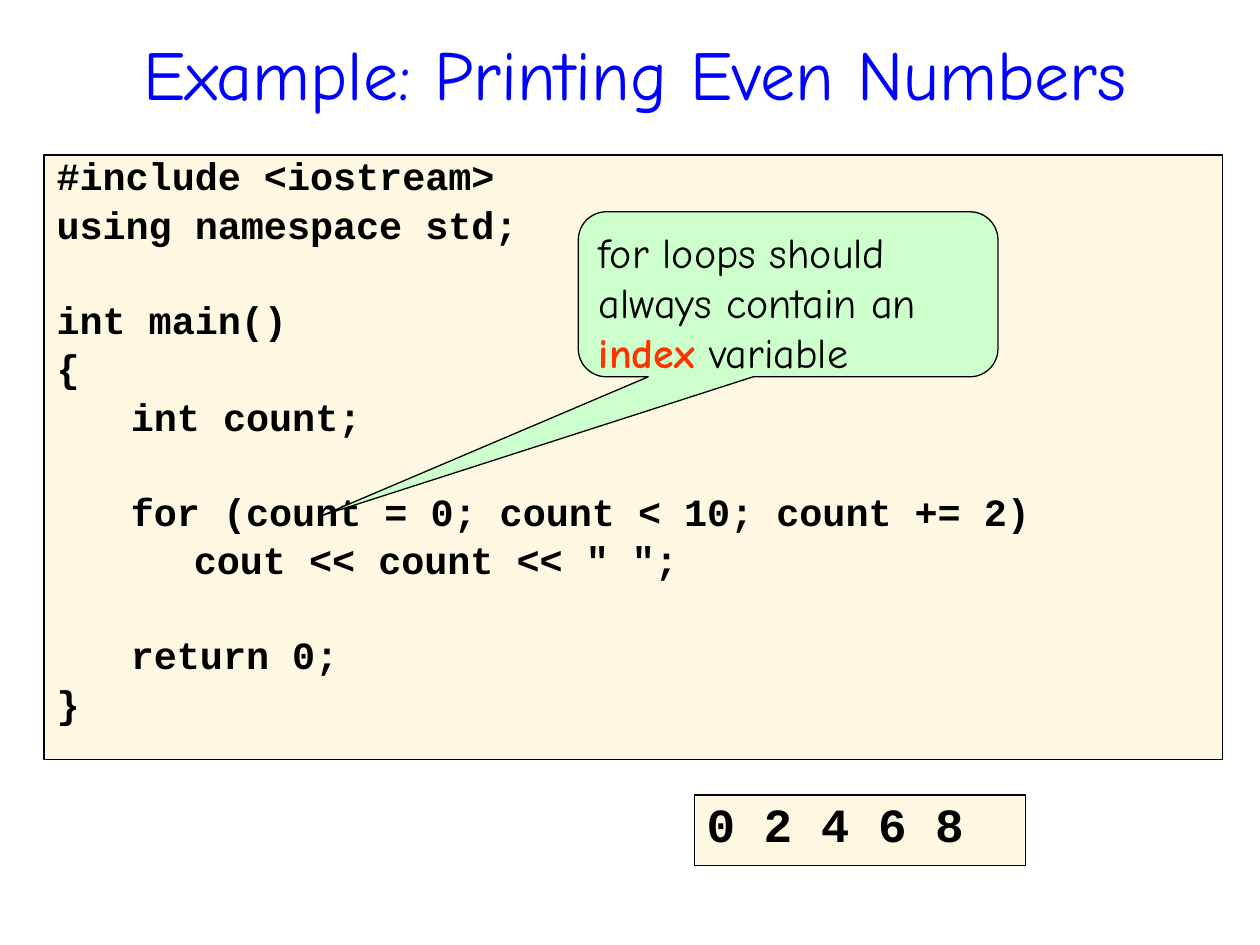
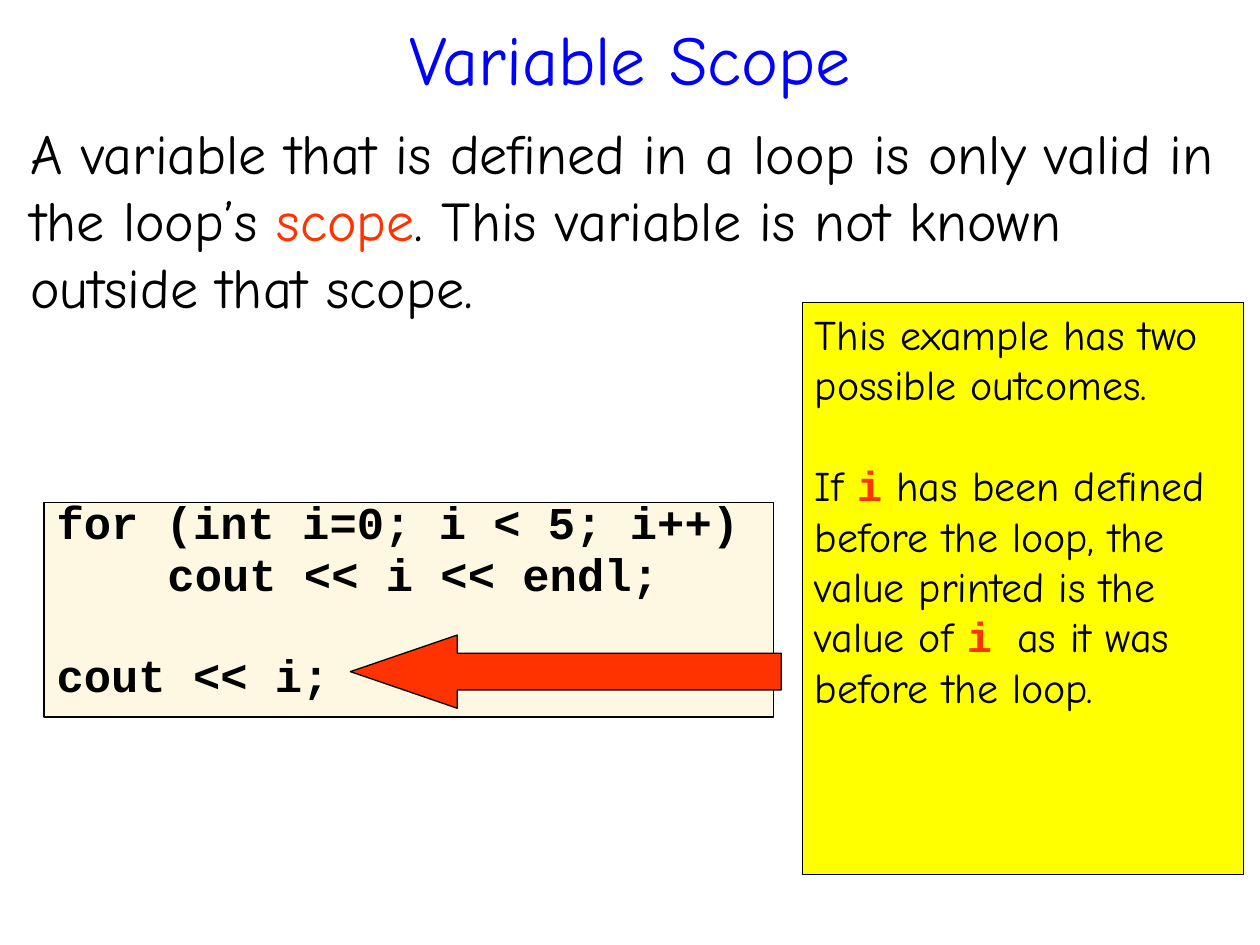
import lxml.etree
import pptx
import pptx.dml.color
import pptx.enum.shapes
import pptx.enum.text
import pptx.oxml.ns
import pptx.util

Pt = pptx.util.Pt
RGB = pptx.dml.color.RGBColor
SHAPES = pptx.enum.shapes.MSO_SHAPE
ALIGN = pptx.enum.text.PP_ALIGN
ANCHOR = pptx.enum.text.MSO_ANCHOR
qn = pptx.oxml.ns.qn

BLUE = RGB(0x00, 0x00, 0xFF)
BLACK = RGB(0x00, 0x00, 0x00)
RED = RGB(0xFF, 0x33, 0x00)
CREAM = RGB(0xFE, 0xF8, 0xE2)
MINT = RGB(0xCC, 0xFF, 0xCC)
YELLOW = RGB(0xFF, 0xFF, 0x00)

PROSE = "Comic Neue"
CODE = "Courier New"
MONO_LINE = 1.133
TAB_STEP = 72
TITLE_ONLY, TITLE_AND_BODY = 5, 1

TITLE = dict(name=PROSE, size=Pt(40), bold=False, color=BLUE)
BODY = dict(name=PROSE, size=Pt(32), bold=False, color=BLACK)
REMARK = dict(name=PROSE, size=Pt(24), bold=False, color=BLACK)
CODE_WORD = dict(name=CODE, bold=True, color=RED)


def set_attributes(target, values):
    for name, value in values.items():
        setattr(target, name, value)


def place(shape, box):
    names = ("left", "top", "width", "height")
    set_attributes(shape, {name: Pt(length) for name, length in zip(names, box)})


def add_runs(paragraph, pieces, base):
    for text, changes in pieces:
        run = paragraph.add_run()
        run.text = text
        look = {**base, **changes}
        run.font.color.rgb = look.pop("color")
        set_attributes(run.font, look)


def write(frame, paragraphs, base, anchor=ANCHOR.TOP, **spacing):
    set_attributes(frame, dict(
        word_wrap=True, auto_size=pptx.enum.text.MSO_AUTO_SIZE.NONE, vertical_anchor=anchor))
    layout = dict(alignment=ALIGN.LEFT, line_spacing=1.0, space_before=Pt(0), space_after=Pt(0))
    for index, pieces in enumerate(paragraphs):
        paragraph = frame.add_paragraph() if index else frame.paragraphs[0]
        set_attributes(paragraph, {**layout, **spacing})
        add_runs(paragraph, pieces, base)


def add_panel(slide, kind, box, fill, adjustments=()):
    panel = slide.shapes.add_shape(kind, *(Pt(length) for length in box))
    panel.shadow.inherit = False
    panel.fill.solid()
    panel.fill.fore_color.rgb = fill
    panel.line.color.rgb = BLACK
    panel.line.width = Pt(0.75)
    for index, value in enumerate(adjustments):
        panel.adjustments[index] = value
    return panel


def set_indent(paragraph, hanging):
    properties = paragraph._p.get_or_add_pPr()
    properties.set("marL", str(Pt(hanging)))
    properties.set("indent", str(-Pt(hanging)))
    tabs = lxml.etree.SubElement(properties, qn("a:tabLst"))
    for step in range(8):
        lxml.etree.SubElement(tabs, qn("a:tab"), pos=str(Pt(step * TAB_STEP)), algn="l")


def add_code(slide, box, blocks, size, spacing, hanging=0):
    panel = add_panel(slide, SHAPES.RECTANGLE, box, CREAM)
    before = size * 0.25 * 1.2
    pitch = size * MONO_LINE * spacing + before
    look = dict(name=CODE, size=Pt(size), bold=True, color=BLACK)
    lines = [[(line, {})] for block in blocks for line in block]
    write(panel.text_frame, lines, look, line_spacing=spacing, space_before=Pt(before))
    for paragraph in panel.text_frame.paragraphs:
        set_indent(paragraph, hanging)
    start = 0
    for block in blocks[:-1]:
        start += len(block)
        panel.text_frame.paragraphs[start].space_before = Pt(before + pitch)


def add_title(slide, text, box):
    place(slide.shapes.title, box)
    write(slide.shapes.title.text_frame, [[(text, {})]], TITLE,
          anchor=ANCHOR.MIDDLE, alignment=ALIGN.CENTER)


def add_body(slide, pieces, box):
    body = slide.placeholders[1]
    place(body, box)
    write(body.text_frame, [pieces], BODY, space_before=Pt(9.6))
    properties = body.text_frame.paragraphs[0]._p.get_or_add_pPr()
    properties.set("marL", "0")
    properties.set("indent", "0")
    lxml.etree.SubElement(properties, qn("a:buNone"))


def add_index_callout(slide, box):
    callout = add_panel(slide, SHAPES.ROUNDED_RECTANGULAR_CALLOUT, box, MINT,
                        (-1.11, 1.34, 0.17))
    write(callout.text_frame, [
        [("for loops should always contain an", {})],
        [("index", dict(color=RED, bold=True)), (" variable", {})],
    ], REMARK)


def add_outcome_note(slide, box):
    note = add_panel(slide, SHAPES.RECTANGLE, box, YELLOW)
    write(note.text_frame, [
        [("This example has two possible outcomes.", {})],
        [("If ", {}), ("i", CODE_WORD),
         (" has been defined before the loop, the value printed is the value of ", {}),
         ("i ", CODE_WORD), ("as it was before the loop.", {})],
    ], REMARK)
    note.text_frame.paragraphs[1].space_before = Pt(28.8)


def build_even_numbers(deck):
    slide = deck.slides.add_slide(deck.slide_layouts[TITLE_ONLY])
    add_title(slide, "Example: Printing Even Numbers", (31.7, 18, 662.4, 46.8))
    program = [
        ["#include <iostream>", "using namespace std;"],
        ["int main()", "{", "\tint count;"],
        ["\tfor (count = 0; count < 10; count += 2)", '\t\tcout << count << " ";'],
        ["\treturn 0;", "}"],
    ]
    add_code(slide, (25.2, 88.6, 673.2, 345.6), program, 22, 0.8, 42.5)
    add_code(slide, (396.7, 454.3, 189.4, 40.3), [["0 2 4 6 8"]], 27.2, 0.9)
    add_index_callout(slide, (330.5, 121, 239.8, 94.3))


def build_variable_scope(deck):
    slide = deck.slides.add_slide(deck.slide_layouts[TITLE_AND_BODY])
    add_title(slide, "Variable Scope", (36, 11.5, 648, 42.5))
    add_body(slide, [
        ("A variable that is defined in a loop is only valid in the loop’s ", {}),
        ("scope", dict(color=RED)),
        (". This variable is not known outside that scope.", {}),
    ], (10.1, 64.1, 701.3, 126.7))
    loop = [["for (int i=0; i < 5; i++)", "\t\tcout << i << endl;"], ["cout << i;"]]
    add_code(slide, (25.2, 287.3, 416.9, 122.4), loop, 26, 0.7, 27.4)
    add_outcome_note(slide, (458.6, 172.8, 252, 326.9))
    add_panel(slide, SHAPES.LEFT_ARROW, (200.2, 362.9, 246.2, 41.8), RED, (0.5, 1.46))


def main():
    deck = pptx.Presentation()
    deck.slide_width, deck.slide_height = Pt(720), Pt(540)
    build_even_numbers(deck)
    build_variable_scope(deck)
    deck.save("out.pptx")


if __name__ == "__main__":
    main()
